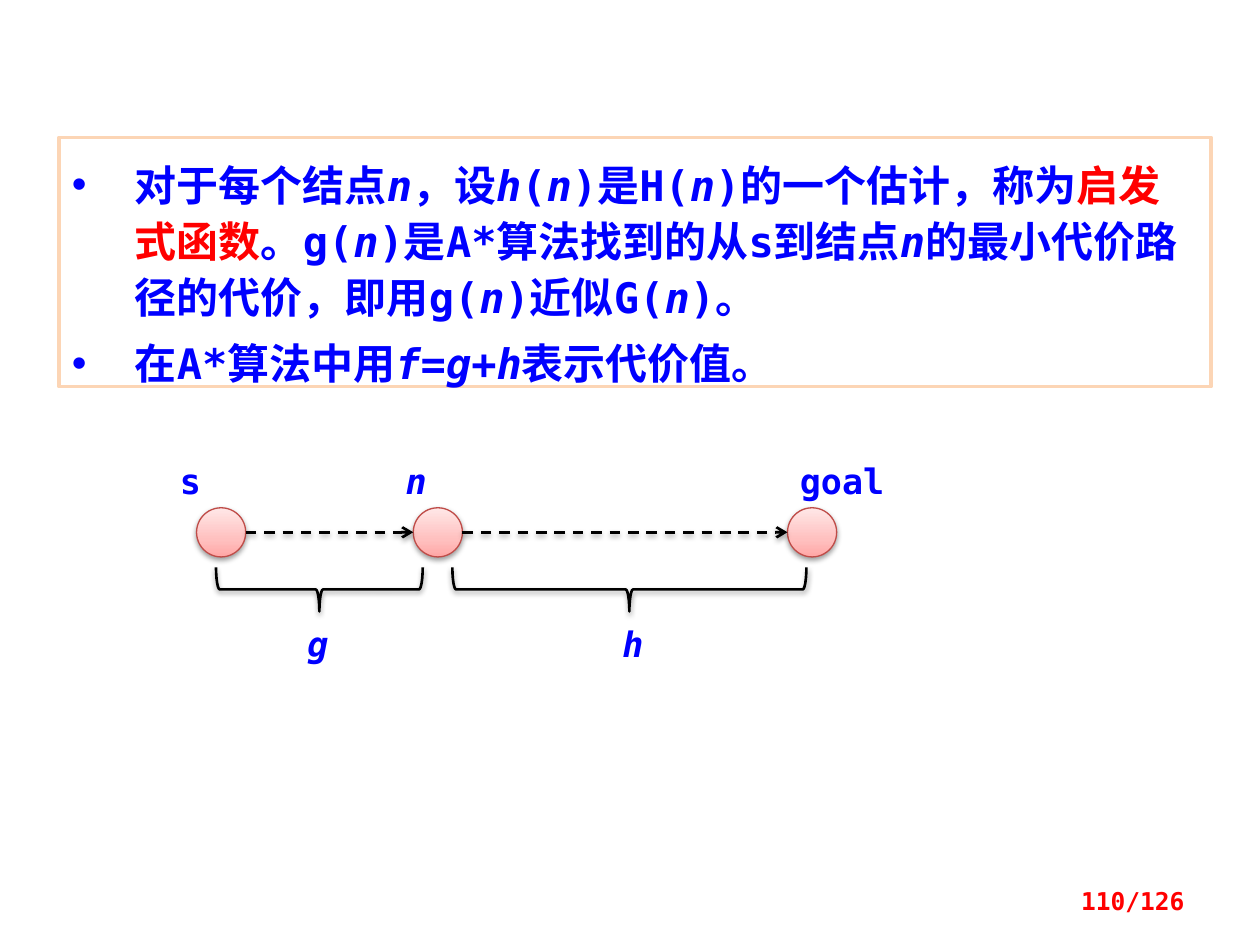
"""Builds the slide on the heuristic function of the A* algorithm."""
from copy import deepcopy
from lxml.etree import SubElement
from pptx import Presentation
from pptx.dml.color import RGBColor
from pptx.enum.dml import MSO_LINE
from pptx.enum.shapes import MSO_CONNECTOR, MSO_SHAPE
from pptx.enum.text import MSO_ANCHOR, MSO_AUTO_SIZE, PP_ALIGN
from pptx.oxml.ns import qn
from pptx.util import Inches, Pt

WIDE, HIGH = Inches(10), Inches(7.5)
BLUE, RED = RGBColor(0, 0, 255), RGBColor(255, 0, 0)
WHITE, BLACK = RGBColor(255, 255, 255), RGBColor(0, 0, 0)
PEACH, ROSE = RGBColor(0xFC, 0xD5, 0xB5), RGBColor(0xBF, 0x4C, 0x48)
SHADES = [(0, RGBColor(0xFF, 0xA6, 0xA5)), (0.35, RGBColor(0xFF, 0xC0, 0xBF)),
          (1, RGBColor(0xFF, 0xE7, 0xE7))]
FACE = {"name": "DejaVu Sans Mono", "bold": True}
NODE_W, NODE_H, NODE_Y = 3.9, 5.2, 53.73
MID_Y = NODE_Y + NODE_H / 2
NODES = [15.6, 32.8, 62.5]
LABELS = [("s", 13.3, 47.87, 3.9), ("_n_", 31.2, 47.87, 3.9),
          ("goal", 62.5, 47.87, 11.7), ("_g_", 23.4, 65.2, 3.9),
          ("_h_", 48.4, 65.2, 3.9)]
BRACES = [(25.35, 16.4), (49.95, 28.1)]
POINTS = [
    "对于每个结点_n_，设_h_(_n_)是H(_n_)的一个估计，称为|启发式函数|。"
    "g(_n_)是A*算法找到的从s到结点_n_的最小代价路径的代价，即用g(_n_)近似G(_n_)。",
    "在A*算法中用_f_=_g_+_h_表示代价值。",
]


def put(item, form):
    """Set each attribute in form on item."""
    for key, value in form.items():
        setattr(item, key, value)


def area(x, y, w, h):
    """Turn percentages of the slide into left, top, width and height."""
    return (round(WIDE * x / 100), round(HIGH * y / 100),
            round(WIDE * w / 100), round(HIGH * h / 100))


def write(para, text, size, color=BLUE):
    """Add runs to para: _italic_ and |red|."""
    for i, part in enumerate(text.split("|")):
        for j, piece in enumerate(part.split("_")):
            if piece:
                run = para.add_run()
                run.text = piece
                put(run.font, {**FACE, "size": Pt(size), "italic": j % 2 == 1})
                run.font.color.rgb = RED if i % 2 else color


def outline(line, color, width):
    """Give line a colour and a width in points."""
    line.color.rgb = color
    line.width = Pt(width)


def shade(shape):
    """Add a soft shadow straight below shape."""
    effects = SubElement(shape._element.spPr, qn("a:effectLst"))
    cast = SubElement(effects, qn("a:outerShdw"), blurRad=str(Pt(3.1)),
                      dist=str(Pt(1.6)), dir="5400000", rotWithShape="0")
    tint = SubElement(cast, qn("a:srgbClr"), val=str(BLACK))
    SubElement(tint, qn("a:alpha"), val="38000")


def add_list(slide):
    """Fill the framed body placeholder with the points."""
    body = slide.placeholders[1]
    put(body, dict(zip(("left", "top", "width", "height"),
                       area(4.7, 14.53, 91.4, 26.4))))
    body.fill.solid()
    body.fill.fore_color.rgb = WHITE
    outline(body.line, PEACH, 2)
    frame = body.text_frame
    put(frame, {"auto_size": MSO_AUTO_SIZE.NONE, "margin_top": Inches(0.13)})
    for i, point in enumerate(POINTS):
        para = frame.add_paragraph() if i else frame.paragraphs[0]
        put(para, {"line_spacing": Pt(32), "space_before": Pt(6 if i else 0)})
        props = para._p.get_or_add_pPr()
        props.set("marL", str(Inches(0.5)))
        props.set("indent", str(-Inches(0.5)))
        write(para, point, 24)


def add_node(slide, x):
    """Draw one round graph node."""
    node = slide.shapes.add_shape(MSO_SHAPE.OVAL,
                                  *area(x, NODE_Y, NODE_W, NODE_H))
    node.fill.gradient()
    node.fill.gradient_angle = 90
    stops = node._element.spPr.find(qn("a:gradFill")).find(qn("a:gsLst"))
    stops.insert(1, deepcopy(stops[0]))
    for stop, (place, color) in zip(node.fill.gradient_stops, SHADES):
        stop.position = place
        stop.color.rgb = color
    outline(node.line, ROSE, 0.75)
    shade(node)


def add_arrow(slide, start, end):
    """Draw a dashed arrow between two nodes."""
    x, y, w, _ = area(start + NODE_W, MID_Y, end - start - NODE_W, 0)
    arrow = slide.shapes.add_connector(MSO_CONNECTOR.STRAIGHT, x, y, x + w, y)
    outline(arrow.line, BLACK, 1.5)
    arrow.line.dash_style = MSO_LINE.DASH
    SubElement(arrow.line._get_or_add_ln(), qn("a:tailEnd"), type="arrow")
    shade(arrow)


def add_brace(slide, mid, span):
    """Draw a brace below the path, centred on mid."""
    tall = span * WIDE / HIGH
    brace = slide.shapes.add_shape(
        MSO_SHAPE.LEFT_BRACE, *area(mid - 1.75, 62.37 - tall / 2, 3.5, tall))
    brace.rotation = 270
    brace.fill.background()
    outline(brace.line, BLACK, 1.5)
    shade(brace)


def add_text(slide, text, place, size=20, color=BLUE, align=PP_ALIGN.LEFT):
    """Add a one-line text box."""
    frame = slide.shapes.add_textbox(*area(*place)).text_frame
    put(frame, {"word_wrap": True, "vertical_anchor": MSO_ANCHOR.MIDDLE})
    frame.paragraphs[0].alignment = align
    write(frame.paragraphs[0], text, size, color)


def main():
    """Build and save the slide."""
    deck = Presentation()
    put(deck, {"slide_width": WIDE, "slide_height": HIGH})
    slide = deck.slides.add_slide(deck.slide_layouts[1])
    title = slide.shapes.title._element
    title.getparent().remove(title)
    add_list(slide)
    for x in NODES:
        add_node(slide, x)
    for start, end in zip(NODES, NODES[1:]):
        add_arrow(slide, start, end)
    for mid, span in BRACES:
        add_brace(slide, mid, span)
    for text, x, y, w in LABELS:
        add_text(slide, text, (x, y, w, 5.87))
    add_text(slide, "110/126", (71.7, 92.67, 23.3, 5.33), 14, RED,
             PP_ALIGN.RIGHT)
    deck.save("out.pptx")


if __name__ == "__main__":
    main()
